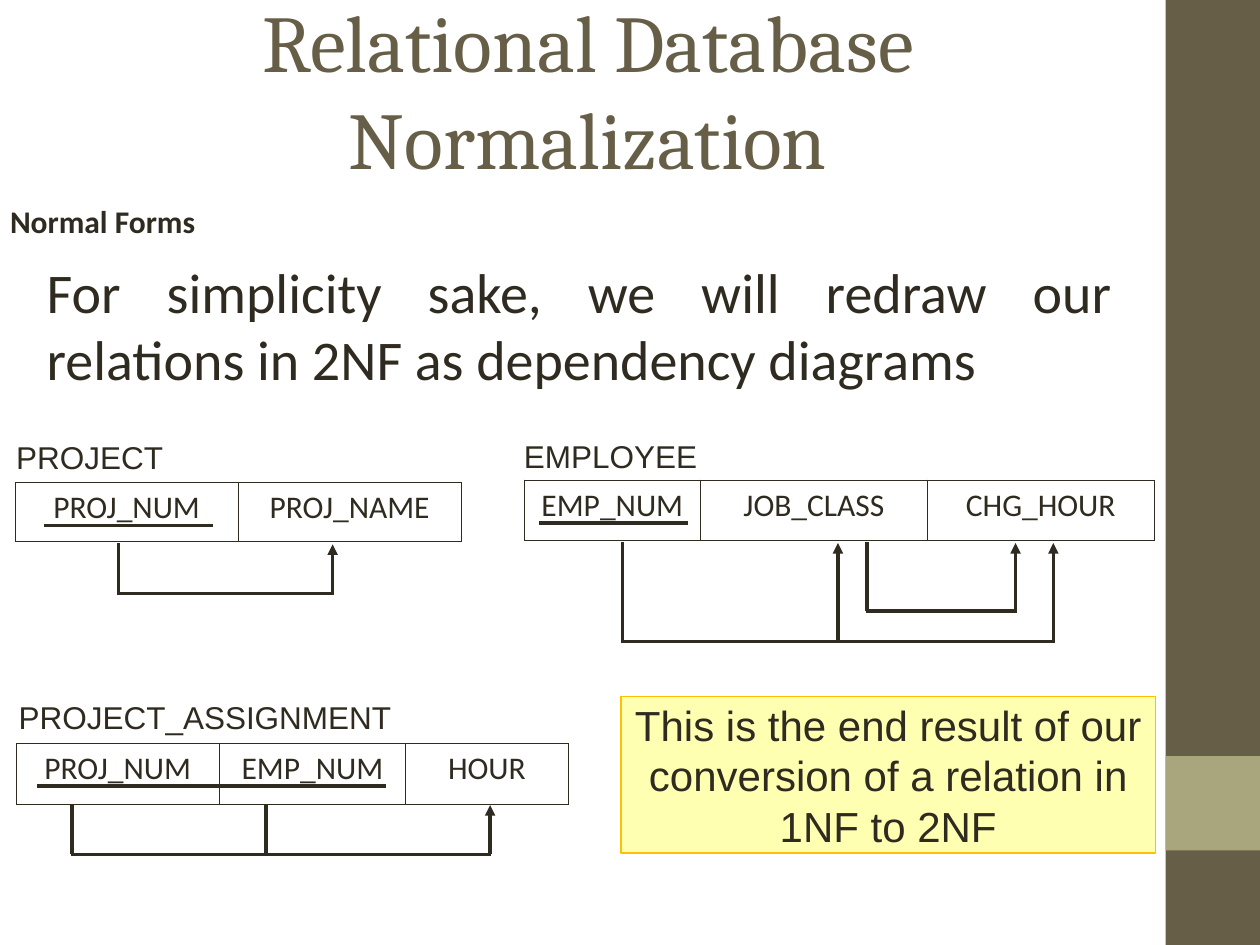
from lxml.etree import SubElement
from pptx import Presentation
from pptx.dml.color import RGBColor
from pptx.enum.shapes import MSO_CONNECTOR, MSO_SHAPE
from pptx.enum.text import MSO_ANCHOR, MSO_AUTO_SIZE, PP_ALIGN
from pptx.oxml.ns import qn
from pptx.util import Inches, Pt

INK, OLIVE, SAGE = "2F2B20", "675E47", "A9A57C"


def color(code):
    return RGBColor.from_string(code)


def place(shape, box):
    shape.left, shape.top, shape.width, shape.height = map(Inches, box)


def write(frame, text, size=18, font="Arial", ink=INK, bold=False,
          align=PP_ALIGN.LEFT, anchor=MSO_ANCHOR.TOP, lead=1.0, pad=(0.1, 0.05)):
    frame.word_wrap = True
    frame.auto_size = MSO_AUTO_SIZE.NONE
    frame.vertical_anchor = anchor
    frame.margin_left = frame.margin_right = Inches(pad[0])
    frame.margin_top = frame.margin_bottom = Inches(pad[1])
    para = frame.paragraphs[0]
    para.alignment, para.line_spacing = align, lead
    para.space_before = Pt(0)
    run = para.add_run()
    run.text = text
    run.font.size, run.font.name, run.font.bold = Pt(size), font, bold
    run.font.color.rgb = color(ink)
    return para


def label(slide, text, box, **style):
    note = slide.shapes.add_textbox(*map(Inches, box))
    write(note.text_frame, text, **style)


def block(slide, box, fill, edge=None):
    shape = slide.shapes.add_shape(MSO_SHAPE.RECTANGLE, *map(Inches, box))
    shape.shadow.inherit = False
    shape.fill.solid()
    shape.fill.fore_color.rgb = color(fill)
    if edge:
        shape.line.color.rgb = color(edge)
        shape.line.width = Pt(0.75)
    else:
        shape.line.fill.background()
    return shape


def line(slide, start, end, arrow=False):
    wire = slide.shapes.add_connector(
        MSO_CONNECTOR.STRAIGHT, *map(Inches, (*start, *end)))
    wire.line.color.rgb = color(INK)
    wire.line.width = Pt(2)
    if arrow:
        SubElement(wire.line._get_or_add_ln(), qn("a:tailEnd"), type="triangle")
    SubElement(wire._element.spPr, qn("a:effectLst"))


def border(cell):
    props = cell._tc.get_or_add_tcPr()
    for side in ("a:lnL", "a:lnR", "a:lnT", "a:lnB"):
        edge = SubElement(props, qn(side), w=str(Pt(0.45)))
        fill = SubElement(edge, qn("a:solidFill"))
        SubElement(fill, qn("a:srgbClr"), val=INK)


def relation(slide, name, spot, left, top, high, cols, key):
    """Label, one-row table of (field, width), and the key underline."""
    label(slide, name, (*spot, 3.2, 0.4))
    wide = sum(width for _, width in cols)
    frame = slide.shapes.add_table(
        1, len(cols), *map(Inches, (left, top, wide, high)))
    table = frame.table
    table.first_row = table.horz_banding = False
    table.rows[0].height = Inches(high)
    for i, (field, width) in enumerate(cols):
        table.columns[i].width = Inches(width)
        cell = table.cell(0, i)
        border(cell)
        cell.fill.background()
        para = cell.text_frame.paragraphs[0]
        para.alignment = PP_ALIGN.CENTER
        para.text = field
        para.font.size, para.font.name = Pt(18), "Calibri"
        para.font.color.rgb = color(INK)
    start, end, level = key
    line(slide, (start, level), (end, level))


def depend(slide, top, base, sources, targets):
    """Bracket that leads from source fields to target fields."""
    line(slide, (sources[0] - 0.01, base), (targets[-1] + 0.01, base))
    for x in sources:
        line(slide, (x, base), (x, top))
    for x in targets:
        line(slide, (x, base), (x, top + 0.01), arrow=True)


def main():
    deck = Presentation()
    deck.slide_width, deck.slide_height = Inches(10), Inches(7.5)
    slide = deck.slides.add_slide(deck.slide_layouts[1])

    # Side band
    block(slide, (9.25, 0, 0.75, 7.5), OLIVE)
    block(slide, (9.25, 6, 0.75, 0.75), SAGE)

    # Title, subtitle and body
    title, body = slide.placeholders
    place(title, (0.5, 0.08, 8.33, 1.25))
    write(title.text_frame, "Relational Database Normalization", size=46,
          font="Cambria", ink=OLIVE, align=PP_ALIGN.CENTER,
          anchor=MSO_ANCHOR.MIDDLE)
    label(slide, "Normal Forms", (0, 1.65, 8.94, 0.35), font="Calibri",
          bold=True, lead=Pt(18), pad=(0.08, 0))
    place(body, (0.27, 1.99, 8.66, 1.18))
    para = write(body.text_frame, "For simplicity sake, we will redraw our "
                 "relations in 2NF as dependency diagrams", size=32,
                 font="Calibri", align=PP_ALIGN.JUSTIFY)
    props = para._p.get_or_add_pPr()
    props.set("marL", "0")
    props.set("indent", "0")
    SubElement(props, qn("a:buNone"))

    # Relations
    relation(slide, "PROJECT", (0.03, 3.43), 0.12, 3.83, 0.47,
             [("PROJ_NUM", 1.77), ("PROJ_NAME", 1.77)], (0.35, 1.69, 4.17))
    relation(slide, "EMPLOYEE", (4.06, 3.42), 4.16, 3.81, 0.48,
             [("EMP_NUM", 1.4), ("JOB_CLASS", 1.8), ("CHG_HOUR", 1.8)],
             (4.28, 5.46, 4.15))
    relation(slide, "PROJECT_ASSIGNMENT", (0.05, 5.49), 0.13, 5.9, 0.48,
             [("PROJ_NUM", 1.61), ("EMP_NUM", 1.48), ("HOUR", 1.29)],
             (0.29, 3.06, 6.24))

    # Dependencies
    depend(slide, 4.31, 4.71, [0.94], [2.64])
    depend(slide, 4.3, 5.09, [4.94], [6.65, 8.36])
    depend(slide, 4.3, 4.85, [6.88], [8.06])
    depend(slide, 6.38, 6.78, [0.57, 2.11], [3.89])

    # Closing note
    note = block(slide, (4.93, 5.53, 4.24, 1.24), "FFFF00", edge="FFC000")
    tint = note._element.spPr.find(qn("a:solidFill"))[0]
    SubElement(tint, qn("a:alpha"), val="30000")
    write(note.text_frame, "This is the end result of our conversion of a "
          "relation in 1NF to 2NF", size=24, align=PP_ALIGN.CENTER,
          anchor=MSO_ANCHOR.MIDDLE)

    deck.save("out.pptx")


if __name__ == "__main__":
    main()
